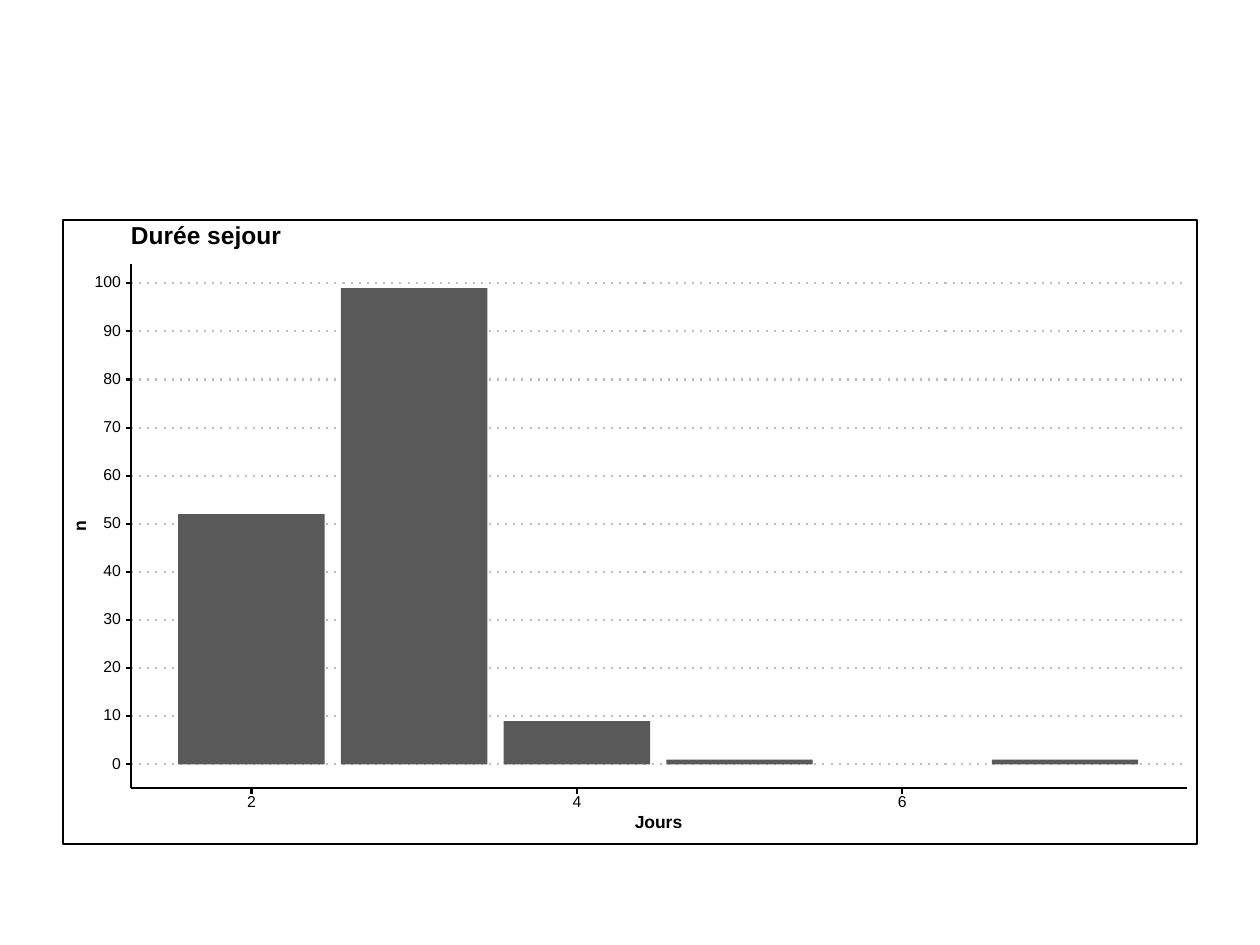
from pptx import Presentation
from pptx.dml.color import RGBColor
from pptx.enum.shapes import MSO_CONNECTOR as CONN, MSO_SHAPE as SHAPE
from pptx.enum.text import MSO_ANCHOR as ANCHOR, PP_ALIGN as ALIGN
from pptx.oxml.ns import qn
from pptx.util import Cm, Pt
from lxml import etree

BLACK = RGBColor(0x00, 0x00, 0x00)
WHITE = RGBColor(0xFF, 0xFF, 0xFF)
GRID = RGBColor(0xBE, 0xBE, 0xBE)
BAR = RGBColor(0x59, 0x59, 0x59)

# Plot area and scales, in cm
LEFT, RIGHT, TOP, BOTTOM = 2.64, 23.93, 5.33, 15.89
ZERO_Y, PER_UNIT = 15.41, 0.097
DAY_2_X, PER_DAY = 5.07, 3.28
BAR_W, TICK = 0.9 * PER_DAY, 0.11
DIGIT_W, LABEL_H = 0.18, 0.23

STAYS = {2: 52, 3: 99, 4: 9, 5: 1, 7: 1}  # days: number of stays


def x_of(day):
    return DAY_2_X + (day - 2) * PER_DAY


def y_of(n):
    return ZERO_Y - n * PER_UNIT


class Plot:
    font = "Arial"

    def __init__(self, slide):
        self.s = slide

    def rect(self, x, y, w, h, fill, line=None):
        sp = self.s.shapes.add_shape(SHAPE.RECTANGLE, Cm(x), Cm(y), Cm(w), Cm(h))
        sp.shadow.inherit = False
        sp.fill.solid()
        sp.fill.fore_color.rgb = fill
        if line is None:
            sp.line.fill.background()
        else:
            sp.line.color.rgb = line
            sp.line.width = Pt(1.16)

    def line(self, x1, y1, x2, y2, color=BLACK, width=1.16, dash=None):
        c = self.s.shapes.add_connector(CONN.STRAIGHT, Cm(x1), Cm(y1), Cm(x2), Cm(y2))
        c.line.color.rgb = color
        c.line.width = Pt(width)
        spPr = c._element.spPr
        if dash:
            etree.SubElement(spPr.find(qn("a:ln")), qn("a:prstDash")).set("val", dash)
        etree.SubElement(spPr, qn("a:effectLst"))

    def text(self, x, y, w, h, text, size=9, bold=False, align=ALIGN.LEFT, rotation=0):
        sp = self.s.shapes.add_textbox(Cm(x), Cm(y), Cm(w), Cm(h))
        sp.rotation = rotation
        tf = sp.text_frame
        tf.margin_left = tf.margin_right = tf.margin_top = tf.margin_bottom = 0
        tf.word_wrap = False
        tf.vertical_anchor = ANCHOR.MIDDLE
        p = tf.paragraphs[0]
        p.alignment = align
        p.line_spacing = Pt(size)
        r = p.add_run()
        r.text = text
        r.font.name = self.font
        r.font.size = Pt(size)
        r.font.bold = bold
        r.font.color.rgb = BLACK


def main():
    prs = Presentation()
    prs.slide_width, prs.slide_height = Cm(25.4), Cm(19.05)
    plot = Plot(prs.slides.add_slide(prs.slide_layouts[6]))

    # Frame
    plot.rect(1.27, 4.44, 22.86, 12.57, WHITE, BLACK)

    # Grid lines
    counts = range(0, 101, 10)
    for n in counts:
        plot.line(LEFT, y_of(n), RIGHT, y_of(n), GRID, dash="dot")

    # Bars
    for day, n in STAYS.items():
        plot.rect(x_of(day) - BAR_W / 2, y_of(n), BAR_W, n * PER_UNIT, BAR)

    # Vertical axis
    plot.line(LEFT, BOTTOM, LEFT, TOP, width=1.07)
    for n in counts:
        w = DIGIT_W * len(str(n))
        plot.text(2.44 - w, y_of(n) - LABEL_H / 2, w, LABEL_H, str(n), align=ALIGN.RIGHT)
        plot.line(LEFT - TICK, y_of(n), LEFT, y_of(n))

    # Horizontal axis
    plot.line(LEFT, BOTTOM, RIGHT, BOTTOM, width=1.07)
    for day in (2, 4, 6):
        plot.line(x_of(day), BOTTOM + TICK, x_of(day), BOTTOM)
        plot.text(x_of(day) - DIGIT_W / 2, 16.07, DIGIT_W, LABEL_H, str(day), align=ALIGN.CENTER)

    # Titles, with room to stay on one line
    plot.text(12.75, 16.48, 1.05, 0.25, "Jours", 10, True, ALIGN.CENTER)
    plot.text(1.53, 10.52, 0.2, 0.18, "n", 10, True, ALIGN.CENTER, rotation=270)
    plot.text(LEFT, 4.55, 3.3, 0.46, "Durée sejour", 14, True)

    prs.save("out.pptx")


if __name__ == "__main__":
    main()
